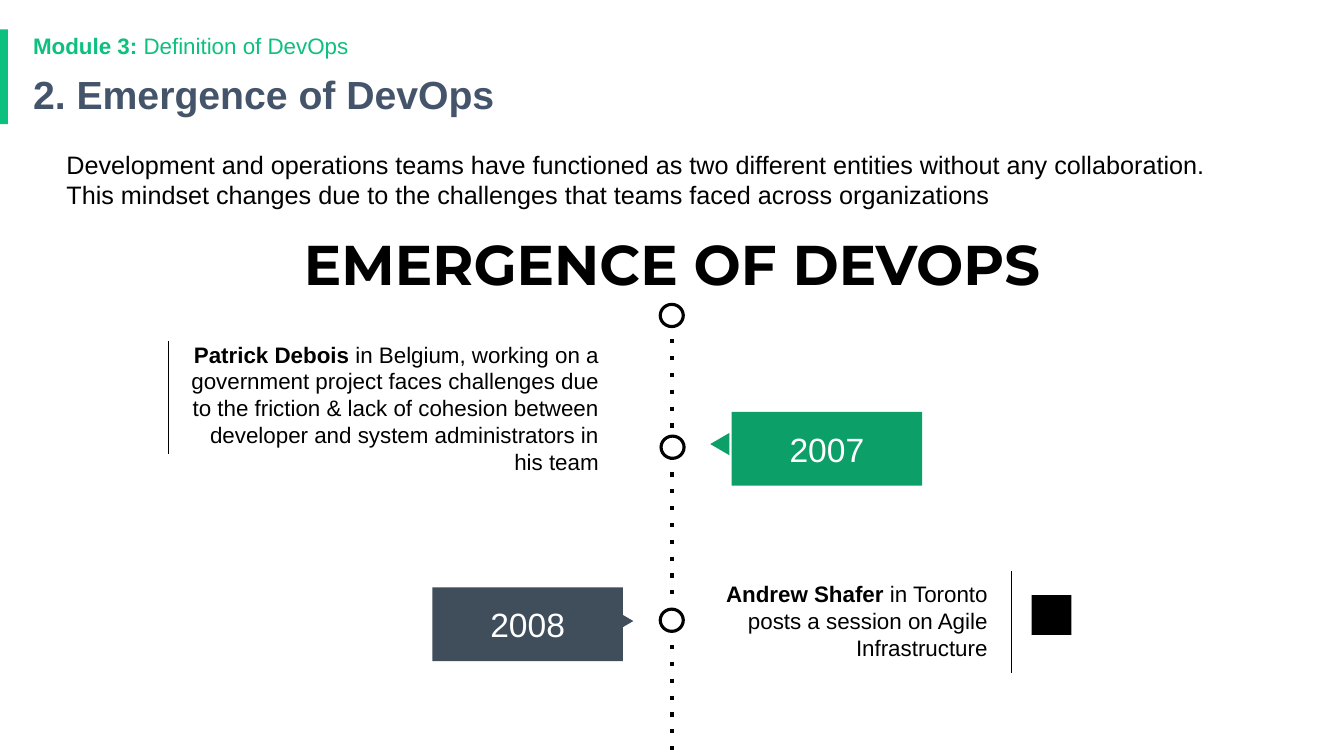
from math import cos, sin, radians
from pptx import Presentation
from pptx.dml.color import RGBColor
from pptx.enum.dml import MSO_LINE
from pptx.enum.shapes import MSO_CONNECTOR, MSO_SHAPE
from pptx.enum.text import MSO_ANCHOR, MSO_AUTO_SIZE, PP_ALIGN
from pptx.oxml.xmlchemy import OxmlElement
from pptx.util import Cm, Pt


def paint(target, color):
    if hasattr(target, "solid"):
        target.solid()
        target = target.fore_color
    target.rgb = RGBColor.from_string(color)


def write(tf, runs, size, color, align, anchor=MSO_ANCHOR.TOP, font="Arial", spacing=1.0):
    tf.word_wrap = True
    tf.auto_size = MSO_AUTO_SIZE.NONE
    tf.vertical_anchor = anchor
    p = tf.paragraphs[0]
    p.text = runs[0][0]
    for text, bold in runs[1:]:
        p.add_run().text = text
    p.alignment = align
    p.line_spacing = spacing
    p.space_before = Pt(0)
    for r, (text, bold) in zip(p.runs, runs):
        r.font.name = font
        r.font.size = Pt(size)
        r.font.bold = bold
        paint(r.font.color, color)


GREEN, TEAL, SLATE, BLACK, WHITE = "0EC07D", "0CA068", "404E5C", "000000", "FFFFFF"
LEFT, CENTER, RIGHT = PP_ALIGN.LEFT, PP_ALIGN.CENTER, PP_ALIGN.RIGHT
MIDDLE = MSO_ANCHOR.MIDDLE

prs = Presentation()
prs.slide_width, prs.slide_height = Cm(33.87), Cm(19.05)
s = prs.slides.add_slide(prs.slide_layouts[3])
title, module, intro = s.placeholders

for sp, box in [
    (title, (0.58, 1.75, 29.21, 1.37)),
    (module, (0.58, 0.76, 29.21, 0.84)),
    (intro, (1.42, 3.63, 29.85, 13.44)),
]:
    sp.left, sp.top, sp.width, sp.height = [Cm(v) for v in box]

write(title.text_frame, [("2. Emergence of DevOps", True)], 28, "44546A", LEFT, MIDDLE, spacing=0.9)
write(module.text_frame, [("Module 3: ", True), ("Definition of DevOps", False)],
      16, GREEN, LEFT, MIDDLE, spacing=0.9)
write(intro.text_frame, [(
    "Development and operations teams have functioned as two different entities without any "
    "collaboration. This mindset changes due to the challenges that teams faced across organizations",
    False)], 18, BLACK, LEFT)
for sp in (module, intro):
    pPr = sp.text_frame.paragraphs[0]._p.get_or_add_pPr()
    pPr.set("marL", "0")
    pPr.set("indent", "0")
    pPr.append(OxmlElement("a:buNone"))

axis = 16.93
for x, top, bottom, width, dotted in [
    (axis, 7.7, 10.92, 3, True),
    (axis, 11.48, 15.27, 3, True),
    (axis, 15.83, 19.05, 3, True),
    (4.24, 8.59, 11.43, 0.75, False),
    (25.48, 14.38, 16.97, 0.75, False),
]:
    line = s.shapes.add_connector(MSO_CONNECTOR.STRAIGHT, Cm(x), Cm(top), Cm(x), Cm(bottom))
    line.line.width = Pt(width)
    paint(line.line.fill, BLACK)
    if dotted:
        line.line.dash_style = MSO_LINE.ROUND_DOT
        line._element.xpath(".//a:prstDash")[0].set("val", "dot")
    line._element.spPr.append(OxmlElement("a:effectLst"))

RECT, TRIANGLE, OVAL = MSO_SHAPE.RECTANGLE, MSO_SHAPE.ISOSCELES_TRIANGLE, MSO_SHAPE.OVAL
for kind, box, color, turn, year in [
    (RECT, (0, 0.74, 0.2, 2.39), GREEN, 0, ""),
    (TRIANGLE, (17.86, 10.95, 0.56, 0.48), TEAL, 270, ""),
    (RECT, (18.44, 10.38, 4.8, 1.86), TEAL, 0, "2007"),
    (TRIANGLE, (15.44, 15.41, 0.56, 0.48), SLATE, 90, ""),
    (RECT, (10.9, 14.8, 4.8, 1.86), SLATE, 0, "2008"),
    (OVAL, (26.52, 15.09, 0.24, 0.25), BLACK, 0, ""),
    (OVAL, (16.64, 7.67, 0.58, 0.56), WHITE, 0, ""),
    (OVAL, (16.66, 10.99, 0.58, 0.56), WHITE, 0, ""),
    (OVAL, (16.64, 15.35, 0.58, 0.56), WHITE, 0, ""),
]:
    sp = s.shapes.add_shape(kind, *[Cm(v) for v in box])
    sp.shadow.inherit = False
    sp.rotation = turn
    paint(sp.fill, color)
    if color == WHITE:
        paint(sp.line.fill, BLACK)
        sp.line.width = Pt(2.25)
    else:
        sp.line.fill.background()
    if year:
        write(sp.text_frame, [(year, False)], 24, WHITE, CENTER, MIDDLE)

teeth = [(radius, 45 * k + a) for k in range(8)
         for radius, a in ((0.31, -18), (0.42, -9.5), (0.42, 9.5), (0.31, 18))]
hole = [(0.14, a) for a in range(0, 360, 10)]
gear = [[(2.96 + radius * cos(radians(a)), 10.06 + radius * sin(radians(a))) for radius, a in ring]
        for ring in (teeth, hole)]
arc = range(-62, 243, 8)
orbit = [(26.64 + rx * cos(radians(a)), 15.93 + ry * sin(radians(a)))
         for rx, ry, angles in ((0.38, 0.13, arc), (0.31, 0.08, reversed(arc))) for a in angles]
body = [(26.47, 15.37), (26.82, 15.37), (26.82, 15.67), (26.75, 15.67),
        (26.75, 15.93), (26.54, 15.93), (26.54, 15.67), (26.47, 15.67)]
for icon in (gear, [orbit], [body]):
    fb = s.shapes.build_freeform(*icon[0][0], scale=Cm(1))
    for contour in icon:
        fb.move_to(*contour[0])
        fb.add_line_segments(contour[1:], close=True)
    sp = fb.convert_to_shape()
    sp.shadow.inherit = False
    paint(sp.fill, BLACK)
    sp.line.fill.background()

for box, runs, size, align, font in [
    ((4.34, 8.46, 11, 3.68), [
        ("Patrick Debois ", True),
        ("in Belgium, working on a government project faces challenges due to the friction & "
         "lack of cohesion between developer and system administrators in his team", False),
    ], 16, RIGHT, "Arial"),
    ((17.22, 14.5, 7.92, 2.31), [
        ("Andrew Shafer", True),
        (" in Toronto posts a session on Agile Infrastructure", False),
    ], 16, RIGHT, "Arial"),
    ((0, 5.66, 33.87, 1.96), [("EMERGENCE OF DEVOPS", True)], 40, CENTER, "Montserrat"),
]:
    tb = s.shapes.add_textbox(*[Cm(v) for v in box])
    write(tb.text_frame, runs, size, BLACK, align, font=font)

prs.save("out.pptx")
